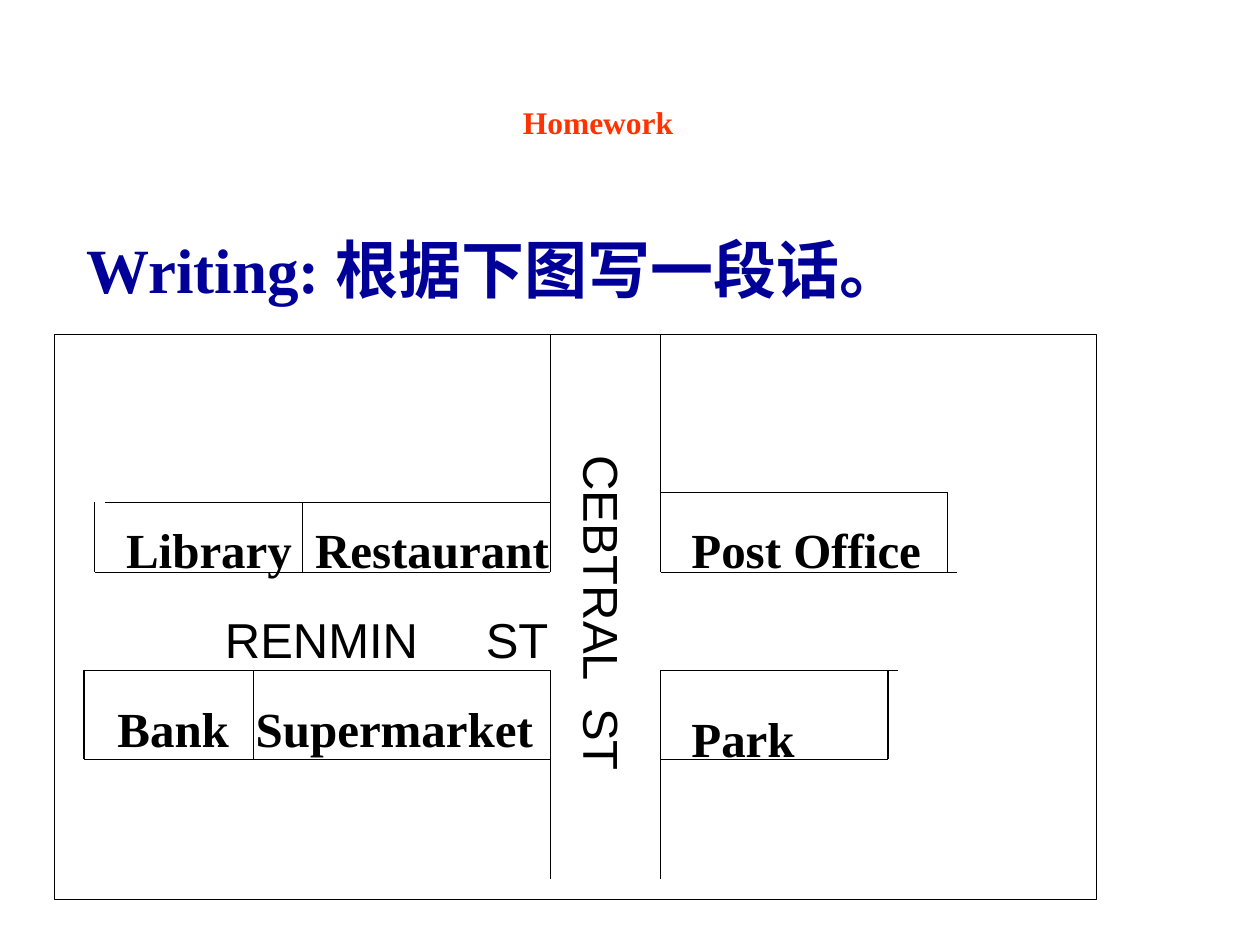
from lxml import etree
from pptx import Presentation
from pptx.dml.color import RGBColor
from pptx.enum import shapes, text
from pptx.oxml.ns import qn
from pptx.util import Pt

BLACK = "000000"


def rgb(value):
    return RGBColor.from_string(value)


def add_text(x, y, width, height, words, size=28, font="Times New Roman", bold=True,
             color=BLACK, gap=0):
    """Add a text box; gap is extra room in points after each space."""
    box = slide.shapes.add_textbox(Pt(x), Pt(y), Pt(width), Pt(height))
    box.text_frame.word_wrap = True
    paragraph = box.text_frame.paragraphs[0]
    for part in words.replace(" ", "| |").split("|") if gap else [words]:
        run = paragraph.add_run()
        run.text = part
        if part == " ":
            run._r.get_or_add_rPr().set("spc", str(round(gap * 100)))
    paragraph.font.size = Pt(size)
    paragraph.font.name = font
    paragraph.font.bold = bold
    paragraph.font.color.rgb = rgb(color)
    return box


prs = Presentation()
prs.slide_width, prs.slide_height = Pt(720), Pt(540)
slide = prs.slides.add_slide(prs.slide_layouts[5])

# Title
title = slide.shapes.title
title.left, title.top, title.width, title.height = Pt(184.5), Pt(55), Pt(314.5), Pt(57)
title.text_frame.text = "Homework"
title.text_frame.word_wrap = False
title.text_frame.vertical_anchor = text.MSO_ANCHOR.TOP
heading = title.text_frame.paragraphs[0]
heading.alignment = text.PP_ALIGN.CENTER
heading.font.size = Pt(18)
heading.font.name = "Times New Roman"
heading.font.bold = True
heading.font.color.rgb = rgb("FF3300")

# Task
add_text(42.5, 128, 493, 50.5, "Writing: 根据下图写一段话。", size=36, color="000099")

# Map frame
frame_top = 191
frame = slide.shapes.add_shape(shapes.MSO_SHAPE.RECTANGLE, Pt(31), Pt(frame_top), Pt(595.5), Pt(323))
frame.shadow.inherit = False
frame.fill.background()
frame.line.color.rgb = rgb(BLACK)
frame.line.width = Pt(0.75)

# Street edges and the walls of the buildings, as x1, y1, x2, y2
west, east = 314.5, 377.5
north, south = 327, 383
road_end, block_bottom = 502.5, 434
library_top, post_top = 287, 281.5
walls = [
    # Street edges
    (54, north, west, north), (48, south, west, south),
    (east, north, 547, north), (east, south, 513, south),
    # Library and restaurant
    (54, library_top, 54, north), (60, library_top, west, library_top),
    (173, library_top, 173, north),
    # Bank and supermarket
    (48, south, 48, block_bottom), (48, block_bottom, west, block_bottom),
    (145, south, 145, block_bottom),
    # Park
    (east, block_bottom, 507.5, block_bottom), (507.5, block_bottom, 507.5, south),
    # Post office
    (east, post_top, 541.5, post_top), (541.5, post_top, 541.5, north),
]
for side in (west, east):
    walls += [(side, frame_top, side, north), (side, south, side, road_end)]
for ends in walls:
    wall = slide.shapes.add_connector(shapes.MSO_CONNECTOR.STRAIGHT, *map(Pt, ends))
    wall.line.color.rgb = rgb(BLACK)
    wall.line.width = Pt(0.75)
    etree.SubElement(wall._element.spPr, qn("a:effectLst"))

# Building names
for name, x, y, width in [
    ("Library", 65, 293.5, 124.5),
    ("Restaurant", 173, 293.5, 158),
    ("Post Office", 388, 293.5, 148),
    ("Bank", 60, 395.5, 79),
    ("Supermarket", 139, 395.5, 187),
    ("Park", 388, 401.5, 85),
]:
    add_text(x, y, width, 41, name)

# Street names
add_text(121.5, 344.5, 204.5, 41, "RENMIN ST", font="Arial", bold=False, gap=31)
avenue = add_text(317.5, 253, 47.5, 221, "CEBTRAL ST", font="Arial", bold=False, gap=7.8).text_frame
avenue._txBody.bodyPr.set("vert", "eaVert")
avenue.margin_left = avenue.margin_right = Pt(3.6)
avenue.margin_top = avenue.margin_bottom = Pt(7.2)
avenue.paragraphs[0].alignment = text.PP_ALIGN.CENTER

prs.save("out.pptx")
